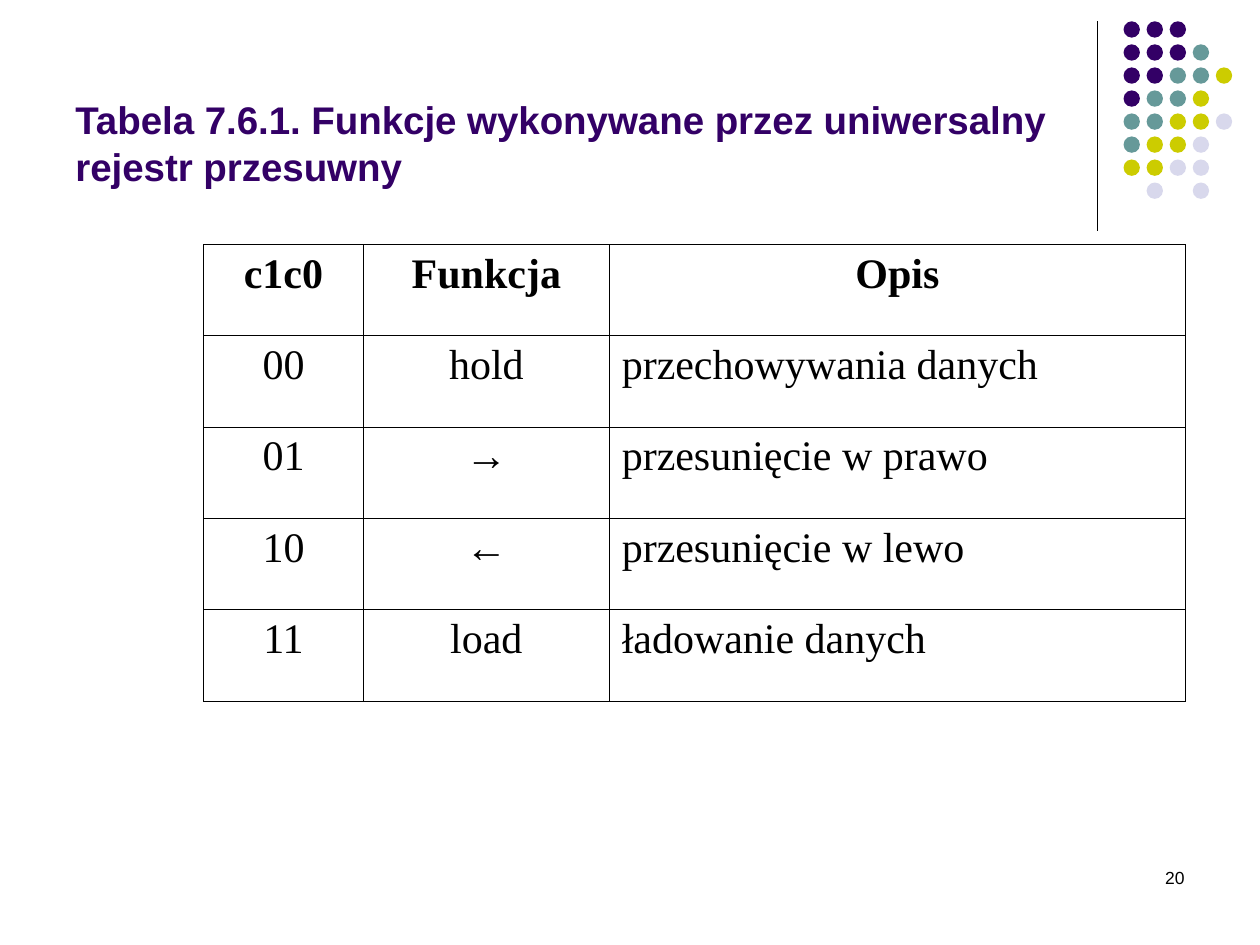
from collections import namedtuple
from dataclasses import dataclass

from lxml import etree
from pptx import Presentation
from pptx import util as u
from pptx.dml.color import RGBColor
from pptx.enum import shapes, text
from pptx.oxml import ns

Box = namedtuple("Box", "left top width height")


@dataclass(frozen=True)
class Theme:
    """Colours, fonts and type sizes of the slide."""
    ink: str = "000000"
    purple: str = "330066"
    teal: str = "669999"
    lime: str = "CCCC00"
    lilac: str = "D8D8EC"
    sans: str = "Arial"
    serif: str = "Times New Roman"
    title_size: float = 22
    table_size: float = 24
    number_size: float = 10
    rule_width: float = 0.75
    border_width: float = 0.45


THEME = Theme()
TITLE = "Tabela 7.6.1. Funkcje wykonywane przez uniwersalny rejestr przesuwny"
ROWS = [
    ("c1c0", "Funkcja", "Opis"),
    ("00", "hold", "przechowywania danych"),
    ("01", "→", "przesunięcie w prawo"),
    ("10", "←", "przesunięcie w lewo"),
    ("11", "load", "ładowanie danych"),
]
COLUMN_WIDTHS = (3.23, 4.95, 11.62)
DOT_ROWS = ("PPP", "PPPT", "PPTTL", "PTTL", "TTLLV", "TLLV", "LLVV", " V V")
DOT_COLOURS = {"P": THEME.purple, "T": THEME.teal, "L": THEME.lime, "V": THEME.lilac}
DOT_SIZE = 0.33


def to_cm(box):
    """Return the four lengths of a box as Cm."""
    return [u.Cm(length) for length in box]


def write(frame, words, align=text.PP_ALIGN.LEFT, color=THEME.ink, **formats):
    """Write one paragraph and set its font from the format values."""
    paragraph = frame.paragraphs[0]
    paragraph.alignment = align
    run = paragraph.add_run()
    run.text = words
    for name, value in formats.items():
        setattr(run.font, name, value)
    run.font.color.rgb = RGBColor.from_string(color)


def add_text(slide, box, words, anchor, **formats):
    """Add a wrapping text box that fills the given box."""
    frame = slide.shapes.add_textbox(*to_cm(box)).text_frame
    for name, value in {"word_wrap": True, "vertical_anchor": anchor}.items():
        setattr(frame, name, value)
    write(frame, words, **formats)


def add_rule(slide, box):
    """Draw the thin upright line along the left edge of the box."""
    left, top, _, height = box
    ends = to_cm((left, top, left, top + height))
    line = slide.shapes.add_connector(shapes.MSO_CONNECTOR.STRAIGHT, *ends)
    line.line.width = u.Pt(THEME.rule_width)
    line.line.color.rgb = RGBColor.from_string(THEME.ink)
    etree.SubElement(line._element.spPr, ns.qn("a:effectLst"))


def add_dots(slide, box):
    """Spread the coloured dots evenly over the box."""
    step_x = (box.width - DOT_SIZE) / (max(map(len, DOT_ROWS)) - 1)
    step_y = (box.height - DOT_SIZE) / (len(DOT_ROWS) - 1)
    group = slide.shapes.add_group_shape()
    for row, codes in enumerate(DOT_ROWS):
        for column, code in enumerate(codes):
            if code == " ":
                continue
            place = Box(box.left + column * step_x, box.top + row * step_y, DOT_SIZE, DOT_SIZE)
            dot = group.shapes.add_shape(shapes.MSO_SHAPE.OVAL, *to_cm(place))
            dot.shadow.inherit = False
            dot.fill.solid()
            dot.fill.fore_color.rgb = RGBColor.from_string(DOT_COLOURS[code])
            dot.line.fill.background()


def add_borders(cell):
    """Give a cell thin lines on all four sides."""
    properties = cell._tc.get_or_add_tcPr()
    for index, side in enumerate(("lnL", "lnR", "lnT", "lnB")):
        line = etree.Element(ns.qn(f"a:{side}"), w=str(u.Pt(THEME.border_width)))
        fill = etree.SubElement(line, ns.qn("a:solidFill"))
        etree.SubElement(fill, ns.qn("a:srgbClr"), val=THEME.ink)
        properties.insert(index, line)


def add_function_table(slide, box):
    """Add the table of register functions, with rows of equal height."""
    frame = slide.shapes.add_table(len(ROWS), len(COLUMN_WIDTHS), *to_cm(box))
    table = frame.table
    for name in ("first_row", "horz_banding"):
        setattr(table, name, False)
    for column, width in zip(table.columns, COLUMN_WIDTHS):
        column.width = u.Cm(width)
    for row_index, values in enumerate(ROWS):
        table.rows[row_index].height = u.Cm(box.height / len(ROWS))
        header = row_index == 0
        for column_index, words in enumerate(values):
            cell = table.cell(row_index, column_index)
            cell.fill.background()
            add_borders(cell)
            description = column_index == 2 and not header
            align = text.PP_ALIGN.LEFT if description else text.PP_ALIGN.CENTER
            write(cell.text_frame, words, align, name=THEME.serif,
                  size=u.Pt(THEME.table_size), bold=header)


def build_table_slide(presentation):
    """Build the slide from its title, ornament, table and number."""
    slide = presentation.slides.add_slide(presentation.slide_layouts[6])
    add_rule(slide, Box(22.12, 0.43, 0, 4.22))
    add_dots(slide, Box(22.65, 0.43, 2.19, 3.58))
    add_text(slide, Box(18.21, 17.35, 5.92, 1.27), "20", text.MSO_ANCHOR.TOP,
             align=text.PP_ALIGN.RIGHT, name=THEME.sans, size=u.Pt(THEME.number_size))
    add_text(slide, Box(1.27, 0.33, 20.96, 3.6), TITLE, text.MSO_ANCHOR.BOTTOM,
             color=THEME.purple, name=THEME.sans, size=u.Pt(THEME.title_size), bold=True)
    add_function_table(slide, Box(4.1, 4.93, sum(COLUMN_WIDTHS), 9.2))


def main():
    """Create the presentation and save it."""
    presentation = Presentation()
    presentation.slide_width = u.Cm(25.4)
    presentation.slide_height = u.Cm(19.05)
    build_table_slide(presentation)
    presentation.save("out.pptx")


main()
